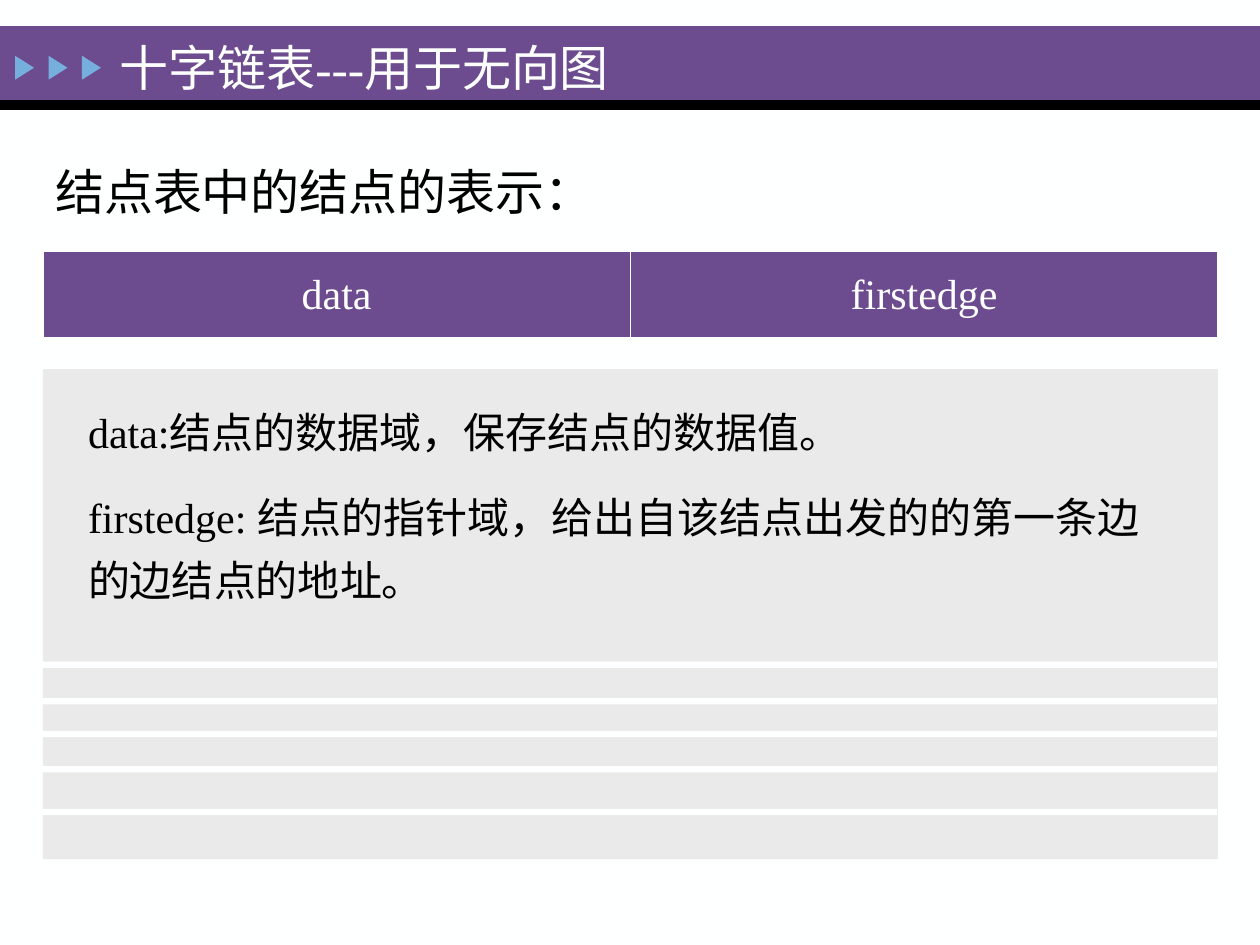
from lxml.etree import SubElement
from pptx import Presentation
from pptx.dml.color import RGBColor
from pptx.enum.shapes import MSO_SHAPE as Shape
from pptx.enum.text import MSO_ANCHOR as Anchor, MSO_AUTO_SIZE as AutoSize, PP_ALIGN as Align
from pptx.oxml.ns import qn
from pptx.util import Pt

# Content
TITLE = "十字链表---用于无向图"
HEADING = "结点表中的结点的表示："
FIELDS = ["data", "firstedge"]
NOTES = [
    "data:结点的数据域，保存结点的数据值。",
    "firstedge: 结点的指针域，给出自该结点出发的的第一条边的边结点的地址。",
]

THEME = {
    "font": "Times New Roman",
    "purple": "6C4C8F", "black": "000000", "blue": "76AEDD",
    "white": "FEFFFF", "grey": "EAEAEA",
    "large": 28, "body": 24,
}

# Layout in points
SLIDE_W, SLIDE_H = 720, 540
MARGIN, CONTENT_W = 24.5, 671.5
ARROW_LEFT, ARROW_PITCH = 7.2, 19.1
STRIPE_TOPS = [378, 398.9, 417.6, 437.8, 462.2]
STRIPE_H = 3.6


def color(name):
    return RGBColor.from_string(THEME[name])


def add_block(slide, kind, box, fill):
    block = slide.shapes.add_shape(kind, *map(Pt, box))
    block.shadow.inherit = False
    block.fill.solid()
    block.fill.fore_color.rgb = color(fill)
    block.line.fill.background()
    return block


def write(frame, lines, size, ink, **paragraph_format):
    frame.text = "\n".join(lines)
    for paragraph in frame.paragraphs:
        for key, value in paragraph_format.items():
            setattr(paragraph, key, value)
        font_format = {"name": THEME["font"], "size": Pt(THEME[size]), "bold": False}
        for key, value in font_format.items():
            setattr(paragraph.font, key, value)
        paragraph.font.color.rgb = color(ink)


def add_text(slide, box, lines, size, **paragraph_format):
    frame = slide.shapes.add_textbox(*map(Pt, box)).text_frame
    frame.word_wrap = True
    frame.auto_size = AutoSize.SHAPE_TO_FIT_TEXT
    write(frame, lines, size, "black", **paragraph_format)
    return frame


def set_borders(cell, widths):
    properties = cell._tc.get_or_add_tcPr()
    for index, (side, width) in enumerate(widths.items()):
        line = properties.makeelement(qn(f"a:{side}"), {"w": str(Pt(width))})
        fill = SubElement(line, qn("a:solidFill"))
        SubElement(fill, qn("a:srgbClr"), val=THEME["white"])
        properties.insert(index, line)


def add_field_table(slide):
    box = (MARGIN, 143.3, CONTENT_W, 50.4)
    table = slide.shapes.add_table(1, len(FIELDS), *map(Pt, box)).table
    table.first_row = table.horz_banding = False
    for cell, field in zip(table.rows[0].cells, FIELDS):
        cell.fill.solid()
        cell.fill.fore_color.rgb = color("purple")
        cell.vertical_anchor = Anchor.MIDDLE
        write(cell.text_frame, [field], "body", "white", alignment=Align.CENTER)
        set_borders(cell, {"lnL": 1, "lnR": 1, "lnT": 1, "lnB": 3})


def main():
    deck = Presentation()
    deck.slide_width, deck.slide_height = Pt(SLIDE_W), Pt(SLIDE_H)
    slide = deck.slides.add_slide(deck.slide_layouts[5])
    slide.background.fill.solid()
    slide.background.fill.fore_color.rgb = color("white")

    # Header bar with arrows
    add_block(slide, Shape.RECTANGLE, (0, 15, SLIDE_W, 42.3), "purple")
    add_block(slide, Shape.RECTANGLE, (0, 57.3, SLIDE_W, 5.5), "black")
    for index in range(3):
        left = ARROW_LEFT + index * ARROW_PITCH
        arrow = add_block(slide, Shape.ISOSCELES_TRIANGLE, (left, 33.3, 13.7, 10.8), "blue")
        arrow.rotation = 90

    # Title, brought in front of the bar
    title = slide.shapes.title
    title.left, title.top, title.width, title.height = map(Pt, (61.2, 18, 391, 40.3))
    frame_format = {"vertical_anchor": Anchor.MIDDLE, "auto_size": AutoSize.NONE, "word_wrap": True}
    for key, value in frame_format.items():
        setattr(title.text_frame, key, value)
    write(title.text_frame, [TITLE], "large", "white", alignment=Align.LEFT)
    slide.shapes._spTree.append(title._element)

    # Heading, explanation and field table
    add_block(slide, Shape.RECTANGLE, (MARGIN, 211, CONTENT_W, 280), "grey")
    add_text(slide, (MARGIN, 88.6, 360, 41), [HEADING], "large")
    notes = add_text(slide, (43.2, 221.8, 635, 131), NOTES, "body", line_spacing=1.25)
    for paragraph in notes.paragraphs[1:]:
        paragraph.space_before = Pt(12.5)
    add_field_table(slide)

    # Stripes across the grey panel
    for top in STRIPE_TOPS:
        add_block(slide, Shape.RECTANGLE, (MARGIN - 0.5, top, CONTENT_W, STRIPE_H), "white")

    deck.save("out.pptx")


if __name__ == "__main__":
    main()
